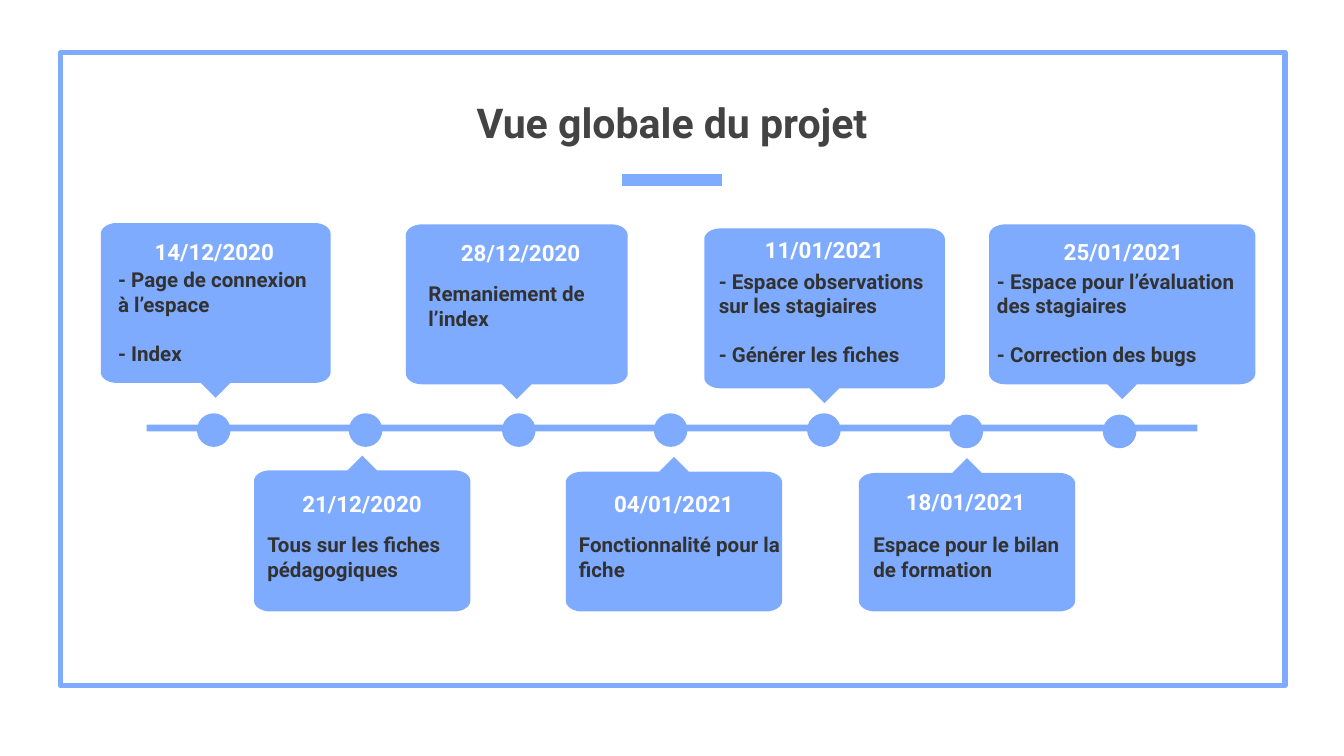
from math import cos, pi, sin

from pptx import Presentation
from pptx.dml.color import RGBColor
from pptx.enum.shapes import MSO_CONNECTOR, MSO_SHAPE
from pptx.enum.text import MSO_ANCHOR, PP_ALIGN
from pptx.oxml.ns import qn
from pptx.util import Inches, Pt
from lxml import etree

BLUE, TITLE_GREY, NOTE_GREY, WHITE = "7FABFF", "434343", "323232", "FFFFFF"
FONT = "Roboto"
POINTER = 0.11           # height and half width of a bubble's pointer
CORNER = (0.12, 0.08)    # horizontal and vertical corner radius
DOT = 0.25

# Date, notes, bubble box (with pointer), pointer up?,
# date centre offset and top, notes offset and width
STEPS = [
    ("14/12/2020", ["- Page de connexion à l’espace", "- Index"],
     (0.75, 1.66, 1.71, 1.3), False, (-0.01, 0.01), (0.03, 0.23, 1.72)),
    ("21/12/2020", ["Tous sur les fiches pédagogiques"],
     (1.89, 3.39, 1.61, 1.16), True, (0, 0.16), (0, 0.47, 1.61)),
    ("28/12/2020", ["Remaniement de l’index"],
     (3.02, 1.67, 1.65, 1.3), False, (0.03, 0.01), (0.07, 0.32, 1.64)),
    ("04/01/2021", ["Fonctionnalité pour la fiche"],
     (4.21, 3.4, 1.61, 1.15), True, (0, 0.15), (0, 0.46, 1.7)),
    ("11/01/2021", ["- Espace observations sur les stagiaires", "- Générer les fiches"],
     (5.24, 1.7, 1.79, 1.3), False, (0, -0.04), (0.01, 0.2, 1.94)),
    ("18/01/2021", ["Espace pour le bilan de formation"],
     (6.39, 3.41, 1.61, 1.14), True, (-0.01, 0.12), (0.01, 0.45, 1.6)),
    ("25/01/2021", ["- Espace pour l’évaluation des stagiaires", "- Correction des bugs"],
     (7.36, 1.67, 1.98, 1.3), False, (0.01, 0), (-0.04, 0.23, 2.14)),
]
# Centres of the dots on the axis
DOTS = [(1.59, 3.2), (2.72, 3.2), (3.86, 3.2), (4.99, 3.2), (6.13, 3.2),
        (7.19, 3.21), (8.33, 3.21)]


def color(value):
    return RGBColor.from_string(value)


def paint(shape):
    """Plain blue fill without outline or shadow."""
    shape.shadow.inherit = False
    shape.fill.solid()
    shape.fill.fore_color.rgb = color(BLUE)
    shape.line.fill.background()


def add_text(page, box, lines, size, ink, align=PP_ALIGN.LEFT, anchor=MSO_ANCHOR.TOP):
    frame = page.shapes.add_textbox(*map(Inches, box)).text_frame
    frame.word_wrap = True
    frame.vertical_anchor = anchor
    frame.margin_left = frame.margin_right = Inches(0.1)
    frame.margin_top = frame.margin_bottom = Inches(0.1)
    frame.text = "\n".join(lines)
    for index, para in enumerate(frame.paragraphs):
        para.alignment = align
        if index:
            para.space_before = Pt(13)
        for span in para.runs:
            font = span.font
            font.name, font.size, font.bold = FONT, Pt(size), True
            font.color.rgb = color(ink)


def add_frame(page, box):
    border = page.shapes.add_shape(MSO_SHAPE.RECTANGLE, *map(Inches, box))
    border.shadow.inherit = False
    border.fill.background()
    border.line.color.rgb = color(BLUE)
    border.line.width = Pt(3)
    etree.SubElement(border.line._get_or_add_ln(), qn("a:round"))


def add_heading(page, box):
    left, top, width, height = box
    add_text(page, box, ["Vue globale du projet"], 22, TITLE_GREY,
             PP_ALIGN.CENTER, MSO_ANCHOR.BOTTOM)
    # Accent line under the title
    middle, y = left + width / 2, Inches(top + height + 0.15)
    accent = page.shapes.add_connector(
        MSO_CONNECTOR.STRAIGHT, Inches(middle - 0.37), y, Inches(middle + 0.37), y)
    accent.line.color.rgb = color(BLUE)
    accent.line.width = Pt(6)
    etree.SubElement(accent._element.spPr, qn("a:effectLst"))


def add_axis(page, box):
    paint(page.shapes.add_shape(MSO_SHAPE.RECTANGLE, *map(Inches, box)))
    for x, y in DOTS:
        paint(page.shapes.add_shape(
            MSO_SHAPE.OVAL, Inches(x - DOT / 2), Inches(y - DOT / 2),
            Inches(DOT), Inches(DOT)))


def add_bubble(page, box, points_up):
    """Rounded box with a pointer in the middle of its top or bottom edge."""
    left, top, width, height = box
    rx, ry = CORNER
    body = height - POINTER
    middle = width / 2
    # Clockwise from the top left, with the pointer below
    corners = [(rx, ry, 180), (width - rx, ry, 270),
               (width - rx, body - ry, 0), (rx, body - ry, 90)]
    outline = []
    for x, y, start in corners:
        for step in range(9):
            angle = (start + step * 90 / 8) * pi / 180
            outline.append((x + rx * cos(angle), y + ry * sin(angle)))
        if start == 0:
            outline += [(middle + POINTER, body), (middle, height), (middle - POINTER, body)]
    if points_up:
        outline = [(x, height - y) for x, y in outline]
    points = [(Inches(left + x), Inches(top + y)) for x, y in outline]
    builder = page.shapes.build_freeform(*points[0])
    builder.add_line_segments(points[1:], close=True)
    paint(builder.convert_to_shape())


def add_step(page, date, notes, box, points_up, date_place, notes_place):
    left, top, width, height = box
    add_bubble(page, box, points_up)
    shift, date_top = date_place
    add_text(page, (left + width / 2 + shift - 0.58, top + date_top, 1.16, 0.3),
             [date], 12, WHITE, PP_ALIGN.CENTER)
    notes_left, notes_top, notes_width = notes_place
    add_text(page, (left + notes_left, top + notes_top, notes_width, 0.8),
             notes, 11, NOTE_GREY)


def main():
    deck = Presentation()
    deck.slide_width = Inches(10)
    deck.slide_height = deck.slide_width * 9 // 16
    page = deck.slides.add_slide(deck.slide_layouts[6])
    add_frame(page, (0.45, 0.39, 9.11, 4.71))
    add_heading(page, (0, 0.19, 10, 1))
    add_axis(page, (1.09, 3.16, 7.82, 0.05))
    for step in STEPS:
        add_step(page, *step)
    deck.save("out.pptx")


if __name__ == "__main__":
    main()
